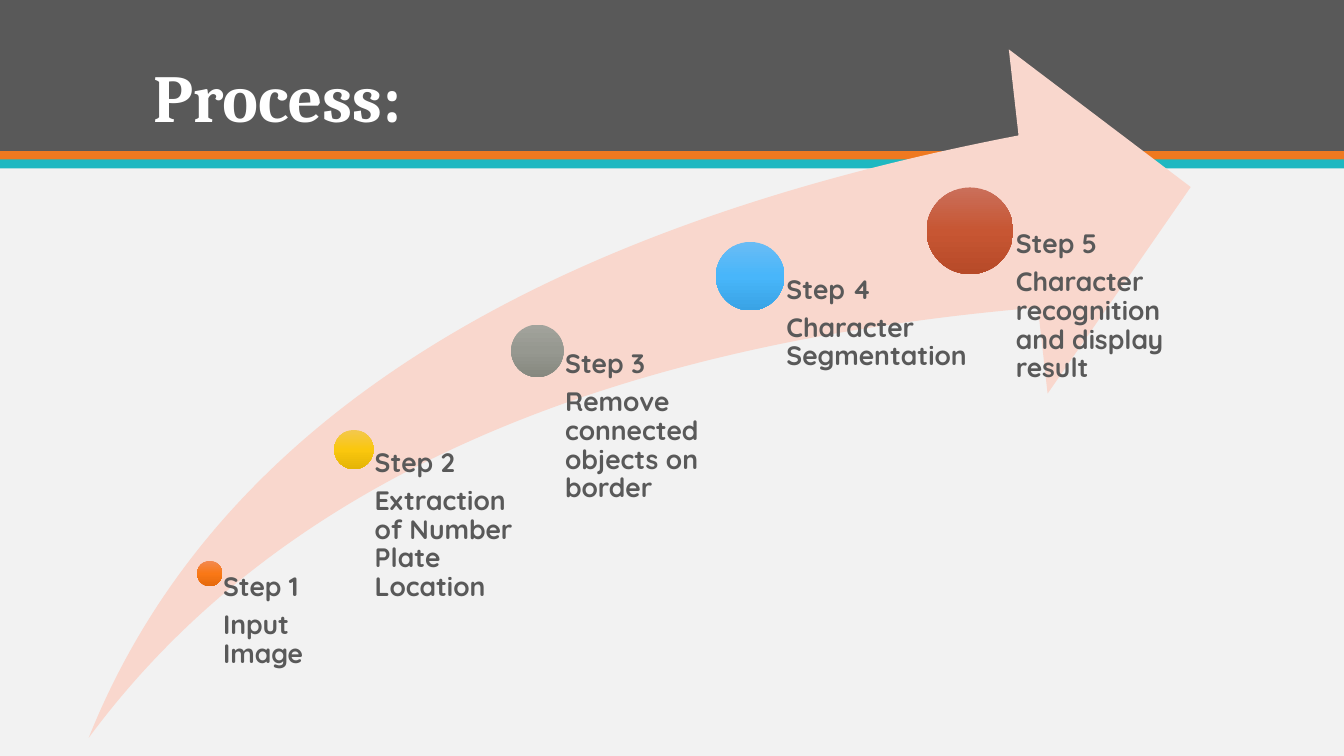
from copy import deepcopy

from pptx import Presentation
from pptx.dml.color import RGBColor
from pptx.enum.shapes import MSO_SHAPE
from pptx.enum.text import MSO_ANCHOR
from pptx.util import Inches, Pt

BACKGROUND = RGBColor(0xF2, 0xF2, 0xF2)
GRAY = RGBColor(0x59, 0x59, 0x59)
ORANGE = RGBColor(0xEF, 0x79, 0x20)
TEAL = RGBColor(0x1E, 0xB8, 0xC1)
WHITE = RGBColor(0xFF, 0xFF, 0xFF)
BLUSH = RGBColor(0xF9, 0xD7, 0xCD)
ORANGE_DOT = [RGBColor(0xF3, 0x89, 0x50), RGBColor(0xF9, 0x78, 0x16), RGBColor(0xE5, 0x69, 0x0C)]
YELLOW_DOT = [RGBColor(0xF3, 0xC8, 0x4E), RGBColor(0xFA, 0xC7, 0x0E), RGBColor(0xE5, 0xB5, 0x06)]
GRAY_DOT = [RGBColor(0xA2, 0xA3, 0x9C), RGBColor(0x96, 0x98, 0x90), RGBColor(0x86, 0x88, 0x7F)]
BLUE_DOT = [RGBColor(0x6A, 0xBC, 0xF5), RGBColor(0x48, 0xB6, 0xFA), RGBColor(0x39, 0xA3, 0xE5)]
RED_DOT = [RGBColor(0xCA, 0x6F, 0x5A), RGBColor(0xC7, 0x56, 0x33), RGBColor(0xB7, 0x4A, 0x28)]

prs = Presentation()
prs.slide_width, prs.slide_height = Inches(13.33), Inches(7.5)
s = prs.slides.add_slide(prs.slide_layouts[6])
s.background.fill.solid()
s.background.fill.fore_color.rgb = BACKGROUND


def add_shape(kind, left, top, width, height, color=None):
    sp = s.shapes.add_shape(kind, Inches(left), Inches(top), Inches(width), Inches(height))
    sp.shadow.inherit = False
    sp.line.fill.background()
    if color is not None:
        sp.fill.solid()
        sp.fill.fore_color.rgb = color
    return sp


def add_text(box, lines, font, space_after=0):
    left, top, width, height = map(Inches, box)
    tf = s.shapes.add_textbox(left, top, width, height).text_frame
    tf.word_wrap = True
    for i, line in enumerate(lines):
        p = tf.paragraphs[0] if i == 0 else tf.add_paragraph()
        p.line_spacing = 0.9
        p.space_after = Pt(space_after)
        r = p.add_run()
        r.text = line
        r.font.bold = True
        r.font.color.rgb = font["color"]
        for name in ("name", "size"):
            setattr(r.font, name, font[name])
    return tf


# Header band with its two stripes
for top, height, color in [(0, 1.5, GRAY), (1.5, 0.09, ORANGE), (1.58, 0.09, TEAL)]:
    add_shape(MSO_SHAPE.RECTANGLE, 0, top, 13.33, height, color)

# Title
title_font = {"name": "Cambria", "size": Pt(48), "color": WHITE}
tf = add_text((1.42, 0.28, 10.5, 1.13), ["Process:"], title_font)
tf.vertical_anchor = MSO_ANCHOR.BOTTOM

# Rising arrow
ARROW_BOTTOM = 7.32
arrow = add_shape(MSO_SHAPE.SWOOSH_ARROW, 0.88, 0.49, 10.93, ARROW_BOTTOM - 0.49, BLUSH)
arrow.adjustments[0] = arrow.adjustments[1] = 0.25

# Steps: dot centre x and y, diameter, label width, dot gradient, description
steps = [
    (2.08, 5.69, 0.25, 1.43, ORANGE_DOT, "Input Image"),
    (3.51, 4.46, 0.39, 1.82, YELLOW_DOT, "Extraction of Number Plate Location"),
    (5.33, 3.48, 0.52, 2.11, GRAY_DOT, "Remove connected objects on border"),
    (7.44, 2.74, 0.68, 2.19, BLUE_DOT, "Character Segmentation"),
    (9.62, 2.29, 0.86, 2.19, RED_DOT, "Character recognition and display result"),
]
step_font = {"name": "Quicksand", "size": Pt(19), "color": GRAY}
for number, (x, y, size, width, colors, description) in enumerate(steps, 1):
    dot = add_shape(MSO_SHAPE.OVAL, x - size / 2, y - size / 2, size, size)
    dot.fill.gradient()
    dot.fill.gradient_angle = 270
    # A third stop between the two default ones
    first_stop = dot._element.spPr.xpath("./a:gradFill/a:gsLst/a:gs")[0]
    first_stop.addnext(deepcopy(first_stop))
    for stop, color, position in zip(dot.fill.gradient_stops, colors, (0, 0.5, 1)):
        stop.color.rgb = color
        stop.position = position

    # Label starts at the dot centre, indented past its edge
    tf = add_text((x, y, width, ARROW_BOTTOM - y), [f"Step {number}", description],
                  step_font, space_after=6.6)
    tf.margin_left = Inches(0.53 * size)
    tf.margin_top = tf.margin_right = tf.margin_bottom = 0

prs.save("out.pptx")
